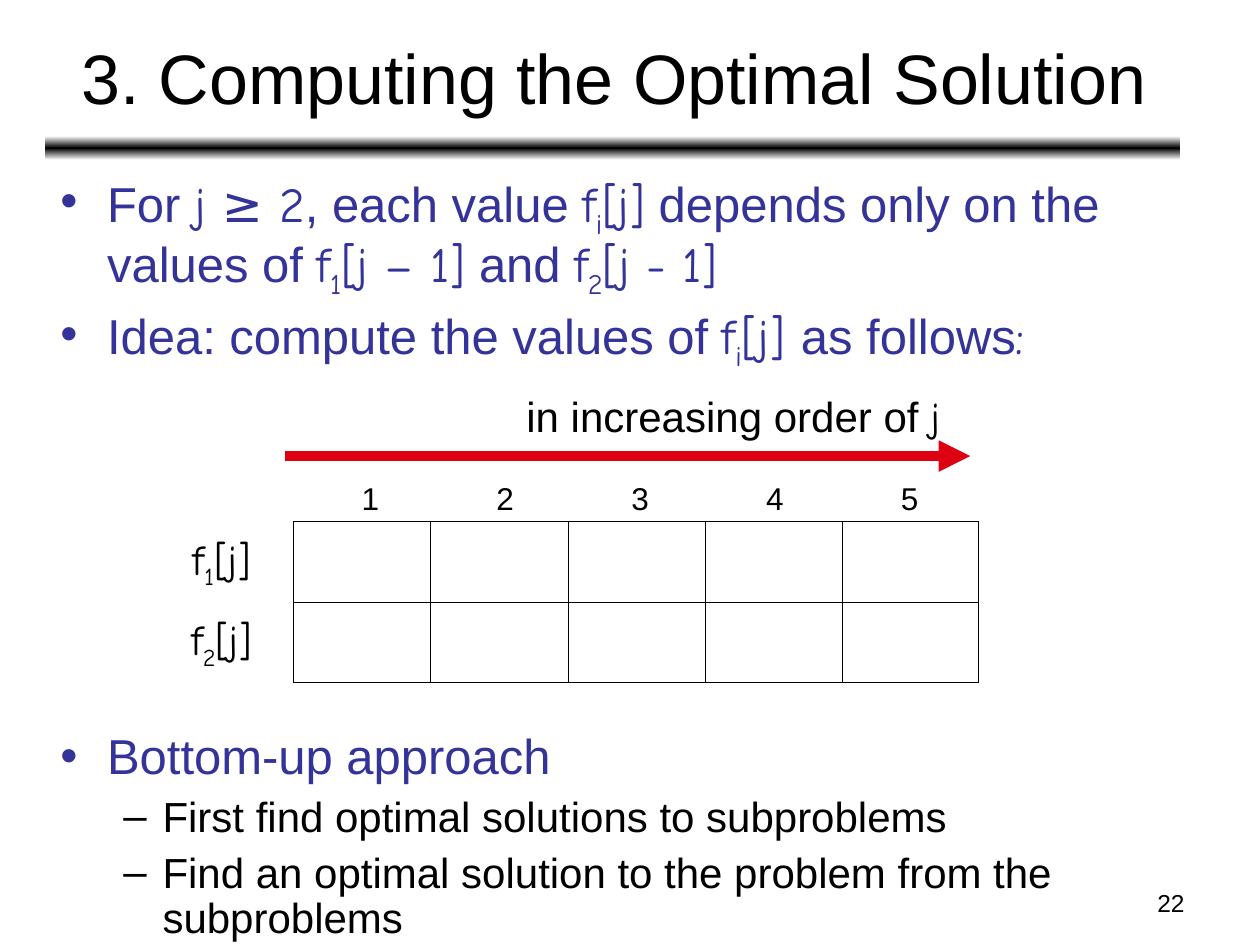
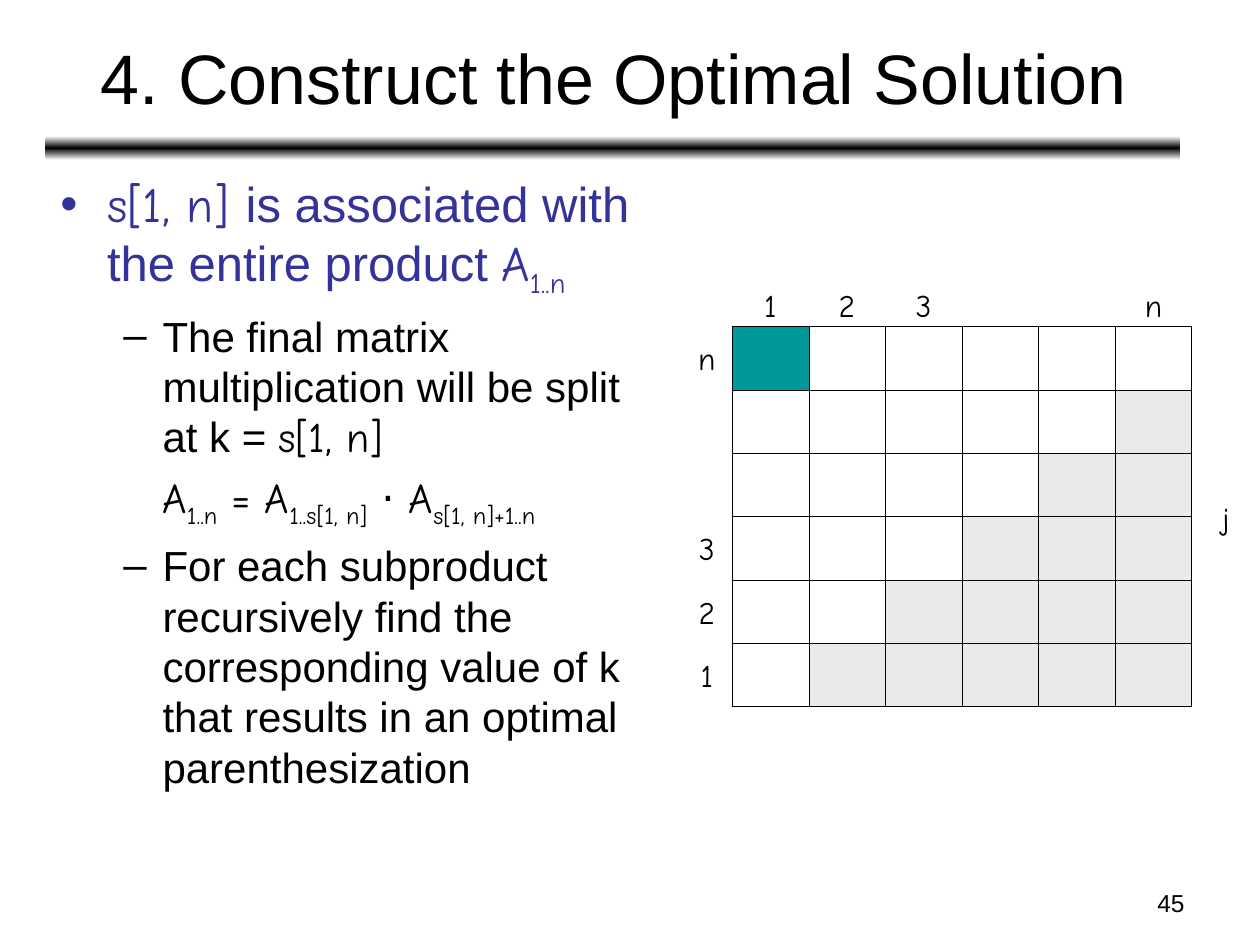
from dataclasses import dataclass
from lxml.etree import SubElement
from pptx import Presentation
from pptx.dml.color import RGBColor as RGB
from pptx.enum.shapes import MSO_CONNECTOR as CONN, MSO_SHAPE as SHAPE
from pptx.enum.text import MSO_ANCHOR as ANCHOR, MSO_AUTO_SIZE as AUTO, PP_ALIGN as ALIGN
from pptx.oxml.ns import qn
from pptx.util import Inches as In, Pt


@dataclass(frozen=True)
class Theme:
    text: str = "Arial"
    math: str = "Comic Neue"
    ink: str = "000000"
    paper: str = "FFFFFF"
    accent: str = "333399"
    arrow: str = "DD0111"
    answer: str = "009999"
    unused: str = "EAEAEA"
    title_pt: int = 40
    bullet_pt: int = 28
    sub_pt: int = 24
    label_pt: int = 18
    number_pt: int = 14
    outer_pt: float = 0.5
    inner_pt: float = 0.23


T = Theme()

# Content: a run is (style, words); T is text, M is math, S is a math subscript
# Body line: (kind, space before in points, runs)
COMPUTE = dict(
    title="3. Computing the Optimal Solution", number="22",
    body_box=(0.38, 1.33, 9.46, 6.03), spacing=0.9,
    body=[
        ("bullet", 0, [("T", "For "), ("M", "j ≥ 2"), ("T", ", each value "),
                       ("M", "f"), ("S", "i"), ("M", "[j]"),
                       ("T", " depends only on the values of "),
                       ("M", "f"), ("S", "1"), ("M", "[j – 1]"), ("T", " and "),
                       ("M", "f"), ("S", "2"), ("M", "[j - 1]")]),
        ("bullet", 7, [("T", "Idea: compute the values of "),
                       ("M", "f"), ("S", "i"), ("M", "[j] "),
                       ("T", "as follows"), ("M", ":")]),
        ("bullet", 209, [("T", "Bottom-up approach")]),
        ("dash", 6, [("T", "First find optimal solutions to subproblems")]),
        ("dash", 6, [("T", "Find an optimal solution to the problem from the subproblems")]),
    ])
CONSTRUCT = dict(
    title="4. Construct the Optimal Solution", number="45",
    body_box=(0.38, 1.33, 4.9, 5.55), spacing=1.0,
    body=[
        ("bullet", 0, [("M", "s[1, n] "), ("T", "is associated with the entire product "),
                       ("M", "A"), ("S", "1..n")]),
        ("dash", 6, [("T", "The final matrix multiplication will be split at k = "),
                     ("M", "s[1, n]")]),
        ("formula", 6, [("M", "A"), ("S", "1..n"), ("M", " = A"), ("S", "1..s[1, n]"),
                        ("M", " "), ("T", "⋅"), ("M", " A"), ("S", "s[1, n]+1..n")]),
        ("dash", 6, [("T", "For each subproduct recursively find the corresponding value "
                           "of k that results in an optimal parenthesization")]),
    ])
VALUES = dict(box=(2.33, 4.14, 5.44, 1.28), rows=2, cols=5)
SPLITS = dict(box=(5.81, 2.59, 3.65, 3.02), rows=6, cols=6)
SPLIT_COLS = {0: "1", 1: "2", 2: "3", 5: "n"}
SPLIT_ROWS = {0: "n", 3: "3", 4: "2", 5: "1"}

# Line kinds: (level, left margin, indent, bullet, colour, size)
KINDS = {
    "bullet": (0, 0.37, -0.37, "•", T.accent, T.bullet_pt),
    "dash": (1, 0.81, -0.31, "–", T.ink, T.sub_pt),
    "formula": (1, 0.81, 0, None, T.ink, T.sub_pt),
}


def node(parent, tag, **attrs):
    return SubElement(parent, qn(tag), {k: str(v) for k, v in attrs.items()})


def place(shape, box):
    shape.left, shape.top, shape.width, shape.height = map(In, box)


def add_runs(p, runs, size, color=T.ink):
    for style, words in runs:
        r = p.add_run()
        r.text = words
        f = r.font
        f.name = T.text if style == "T" else T.math
        f.size, f.color.rgb = Pt(size), RGB.from_string(color)
        if style == "S":
            r._r.get_or_add_rPr().set("baseline", "-25000")


def add_label(s, center, runs, size=T.label_pt, width=0.4, height=0.4):
    x, y = center
    sp = s.shapes.add_textbox(In(x - width / 2), In(y - height / 2), In(width), In(height))
    tf = sp.text_frame
    tf.word_wrap, tf.vertical_anchor = False, ANCHOR.MIDDLE
    p = tf.paragraphs[0]
    p.alignment = ALIGN.CENTER
    add_runs(p, runs, size)


def add_body_line(p, kind, before, runs, spacing):
    level, margin, indent, mark, color, size = KINDS[kind]
    p.level = level
    pPr = p._p.get_or_add_pPr()
    pPr.set("marL", str(In(margin)))
    pPr.set("indent", str(In(indent)))
    if mark:
        node(node(pPr, "a:buClr"), "a:srgbClr", val=color)
        node(pPr, "a:buChar", char=mark)
    else:
        node(pPr, "a:buNone")
    p.line_spacing, p.space_before = spacing, Pt(before)
    add_runs(p, runs, size, color)


def grid_center(grid, row, col):
    x, y, w, h = grid["box"]
    return x + (col + 0.5) * w / grid["cols"], y + (row + 0.5) * h / grid["rows"]


def add_grid(s, grid, fill_for=lambda row, col: None):
    rows, cols = grid["rows"], grid["cols"]
    table = s.shapes.add_table(rows, cols, *map(In, grid["box"])).table
    table.first_row = table.horz_banding = False
    for row in range(rows):
        for col in range(cols):
            cell = table.cell(row, col)
            tcPr = cell._tc.get_or_add_tcPr()
            edges = {"L": col == 0, "R": col == cols - 1, "T": row == 0, "B": row == rows - 1}
            for side, outer in edges.items():
                ln = node(tcPr, "a:ln" + side, w=Pt(T.outer_pt if outer else T.inner_pt))
                node(node(ln, "a:solidFill"), "a:srgbClr", val=T.ink)
            color = fill_for(row, col)
            if color:
                cell.fill.solid()
                cell.fill.fore_color.rgb = RGB.from_string(color)
            else:
                cell.fill.background()


def add_band(s, layout):
    """Put the gradient band on the layout, behind its placeholders."""
    sp = s.shapes.add_shape(SHAPE.ROUNDED_RECTANGLE, *map(In, (0.36, 1.08, 9.01, 0.19)))
    sp.shadow.inherit = False
    sp.line.fill.background()
    sp.fill.gradient()
    sp.fill.gradient_angle = 90
    stops = sp.element.spPr.find(qn("a:gradFill")).find(qn("a:gsLst"))
    stops.clear()
    for share, color in ((0, T.paper), (50, T.ink), (100, T.paper)):
        node(node(stops, "a:gs", pos=share * 1000), "a:srgbClr", val=color)
    layout.shapes.element.insert(2, sp.element)


def add_slide(prs, layout, content):
    s = prs.slides.add_slide(layout)
    title, body = s.placeholders[0], s.placeholders[1]
    # Title
    place(title, (0.37, 0.11, 9, 0.99))
    tf = title.text_frame
    tf.auto_size, tf.vertical_anchor = AUTO.NONE, ANCHOR.MIDDLE
    p = tf.paragraphs[0]
    p.alignment = ALIGN.CENTER
    add_runs(p, [("T", content["title"])], T.title_pt)
    # Body
    place(body, content["body_box"])
    tf = body.text_frame
    tf.auto_size = AUTO.NONE
    for i, line in enumerate(content["body"]):
        p = tf.add_paragraph() if i else tf.paragraphs[0]
        add_body_line(p, *line, content["spacing"])
    # Slide number
    tf = s.shapes.add_textbox(*map(In, (7.17, 7, 2.33, 0.35))).text_frame
    tf.word_wrap = True
    tf.paragraphs[0].alignment = ALIGN.RIGHT
    add_runs(tf.paragraphs[0], [("T", content["number"])], T.number_pt)
    return s


def add_value_table(s):
    add_grid(s, VALUES)
    for row in range(VALUES["rows"]):
        _, y = grid_center(VALUES, row, 0)
        add_label(s, (1.76, y), [("M", "f"), ("S", str(row + 1)), ("M", "[j]")],
                  T.sub_pt, 0.8, 0.56)
    for col in range(VALUES["cols"]):
        add_label(s, (2.94 + 1.07 * col, 3.95), [("T", str(col + 1))])
    # Direction of computation
    arrow = s.shapes.add_connector(CONN.STRAIGHT, In(2.26), In(3.62), In(7.7), In(3.62))
    arrow.line.width, arrow.line.color.rgb = Pt(6), RGB.from_string(T.arrow)
    node(arrow.line._get_or_add_ln(), "a:tailEnd", type="triangle")
    node(arrow.element.spPr, "a:effectLst")
    add_label(s, (5.82, 3.3), [("T", "in increasing order of "), ("M", "j")],
              T.sub_pt, 3.7, 0.5)


def split_fill(row, col):
    if (row, col) == (0, 0):
        return T.answer
    return T.unused if row + col >= SPLITS["cols"] else None


def add_split_table(s):
    add_grid(s, SPLITS, split_fill)
    for col, name in SPLIT_COLS.items():
        add_label(s, (grid_center(SPLITS, 0, col)[0], 2.42), [("M", name)])
    for row, name in SPLIT_ROWS.items():
        add_label(s, (5.61, grid_center(SPLITS, row, 0)[1]), [("M", name)])
    add_label(s, (9.73, 4.11), [("M", "j")])


def main():
    prs = Presentation()
    prs.slide_width, prs.slide_height = In(10), In(7.5)
    layout = prs.slide_layouts[1]
    compute = add_slide(prs, layout, COMPUTE)
    add_band(compute, layout)
    add_value_table(compute)
    add_split_table(add_slide(prs, layout, CONSTRUCT))
    prs.save("out.pptx")


if __name__ == "__main__":
    main()
